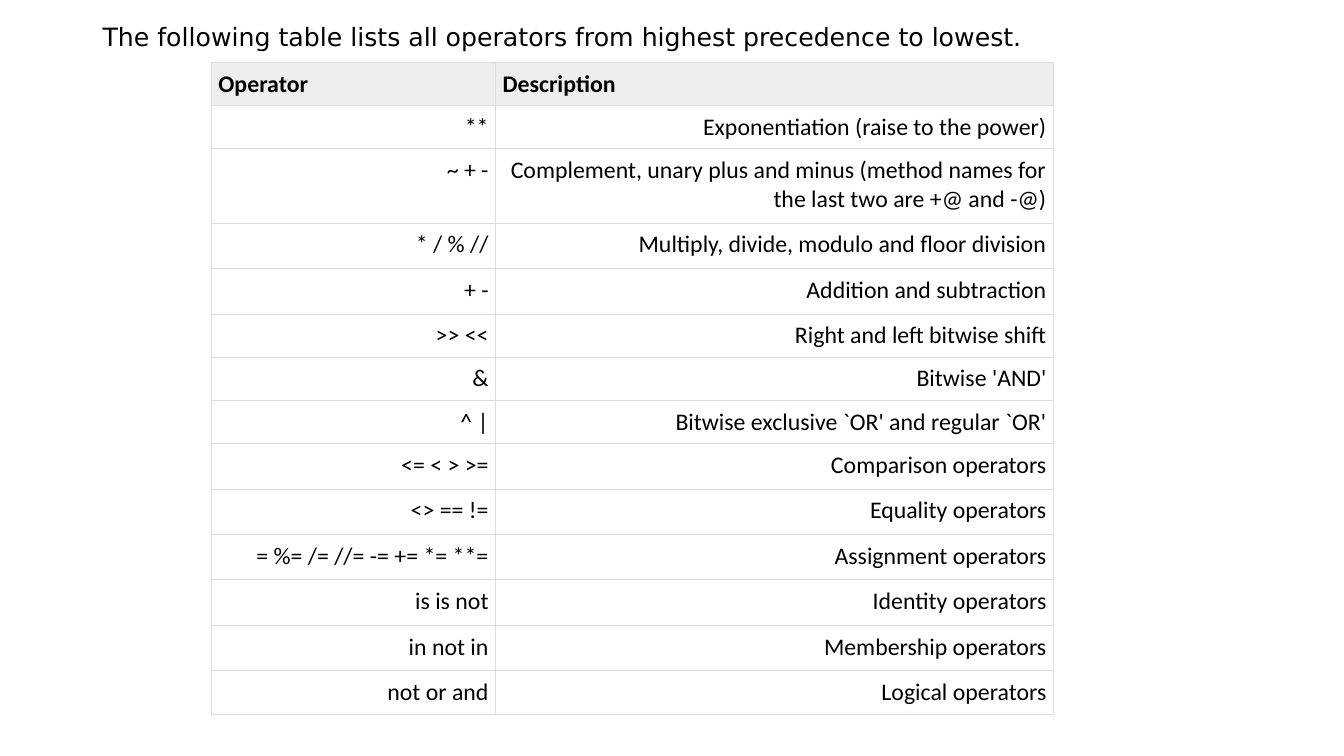
import pptx
import pptx.util
import pptx.dml.color
import pptx.enum.text
import pptx.oxml
import pptx.oxml.ns
from dataclasses import dataclass

Pt = pptx.util.Pt
RGB = pptx.dml.color.RGBColor
ALIGN = pptx.enum.text.PP_ALIGN


@dataclass(frozen=True)
class Theme:
    ink: str = "000000"
    head: str = "EEEEEE"
    rule: str = "DDDDDD"
    lead_font: str = "DejaVu Sans"
    cell_font: str = "Calibri"
    lead_size: float = 18
    cell_size: float = 17
    edge: float = 0.75
    inset: float = 5


THEME = Theme()
LEAD = "The following table lists all operators from highest precedence to lowest."

# Row heights: one line, one line with more room, two lines
LOW, MID, TALL = 30.7, 32.5, 53.3
COLS = (203, 398.5)
ROWS = [
    (LOW, "Operator", "Description"),
    (LOW, "**", "Exponentiation (raise to the power)"),
    (TALL, "~ + -", "Complement, unary plus and minus (method names for the last two are +@ and -@)"),
    (MID, "* / % //", "Multiply, divide, modulo and floor division"),
    (MID, "+ -", "Addition and subtraction"),
    (LOW, ">> <<", "Right and left bitwise shift"),
    (LOW, "&", "Bitwise 'AND'"),
    (LOW, "^ |", "Bitwise exclusive `OR' and regular `OR'"),
    (MID, "<= < > >=", "Comparison operators"),
    (MID, "<> == !=", "Equality operators"),
    (MID, "= %= /= //= -= += *= **=", "Assignment operators"),
    (MID, "is is not", "Identity operators"),
    (MID, "in not in", "Membership operators"),
    (LOW, "not or and", "Logical operators"),
]


def style(para, face, size, bold=False):
    font = para.font
    font.name, font.size, font.bold = face, Pt(size), bold
    font.color.rgb = RGB.from_string(THEME.ink)


def border(cell):
    # Borders come before the fill in the cell properties
    props = cell._tc.get_or_add_tcPr()
    space = pptx.oxml.ns.nsdecls("a")
    for spot, side in enumerate(("lnL", "lnR", "lnT", "lnB")):
        props.insert(spot, pptx.oxml.parse_xml(
            f'<a:{side} {space} w="{Pt(THEME.edge)}"><a:solidFill>'
            f'<a:srgbClr val="{THEME.rule}"/></a:solidFill></a:{side}>'))


def add_lead(slide, left, top, width, height):
    frame = slide.shapes.add_textbox(Pt(left), Pt(top), Pt(width), Pt(height)).text_frame
    frame.word_wrap = True
    para = frame.paragraphs[0]
    para.text = LEAD
    style(para, THEME.lead_font, THEME.lead_size)


def fill_cell(cell, text, head):
    cell.margin_left = cell.margin_right = Pt(THEME.inset)
    cell.margin_top = cell.margin_bottom = Pt(THEME.inset)
    para = cell.text_frame.paragraphs[0]
    para.text = text
    para.alignment = ALIGN.LEFT if head else ALIGN.RIGHT
    style(para, THEME.cell_font, THEME.cell_size, head)
    if head:
        cell.fill.solid()
        cell.fill.fore_color.rgb = RGB.from_string(THEME.head)
    else:
        cell.fill.background()
    border(cell)


def add_grid(slide, left, top):
    high = sum(row[0] for row in ROWS)
    table = slide.shapes.add_table(
        len(ROWS), len(COLS), Pt(left), Pt(top), Pt(sum(COLS)), Pt(high)).table
    table.horz_banding = False
    for col, width in zip(table.columns, COLS):
        col.width = Pt(width)
    for r, (height, *texts) in enumerate(ROWS):
        table.rows[r].height = Pt(height)
        for c, text in enumerate(texts):
            fill_cell(table.cell(r, c), text, r == 0)


def main():
    deck = pptx.Presentation()
    deck.slide_width, deck.slide_height = Pt(960), Pt(540)
    slide = deck.slides.add_slide(deck.slide_layouts[6])
    add_grid(slide, 151, 44.6)
    add_lead(slide, 66.2, 11.8, 687, 29)
    deck.save("out.pptx")


if __name__ == "__main__":
    main()
